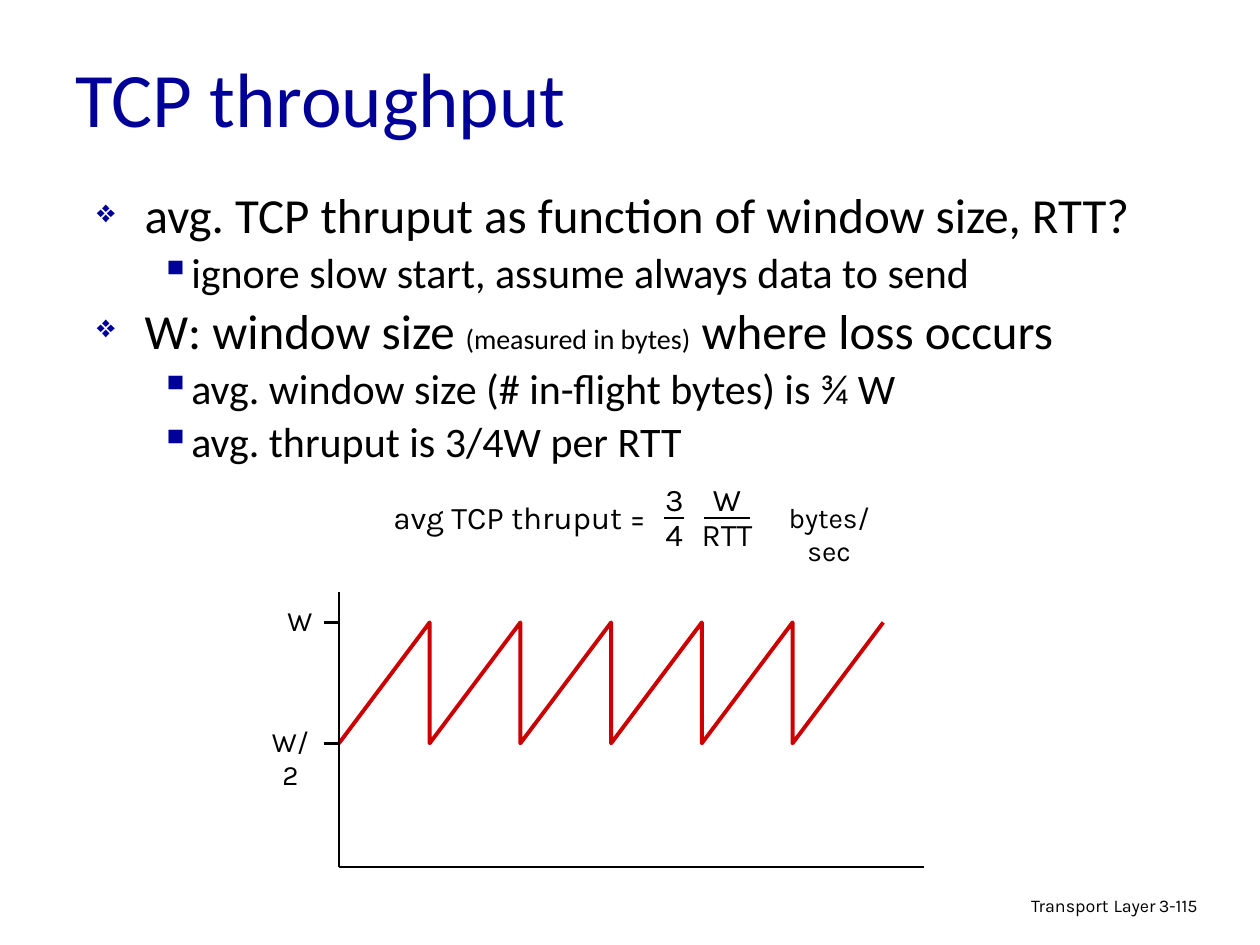
from pptx import Presentation
from pptx.dml.color import RGBColor
from pptx.enum.shapes import MSO_CONNECTOR
from pptx.enum.text import MSO_ANCHOR, PP_ALIGN
from pptx.oxml.ns import qn
from pptx.util import Inches, Pt
from lxml.etree import SubElement

BLACK, NAVY, RED = "000000", "000099", "CC0000"
LEVELS = [
    dict(left=0.38, hang=0.38, mark="❖", scale=65000, size=28, gap=7),
    dict(left=0.75, hang=0.25, mark="▪", scale=100000, size=24, gap=6),
]
POINTS = [
    (0, [("avg. TCP thruput as function of window size, RTT?", 28)]),
    (1, [("ignore slow start, assume always data to send", 24)]),
    (0, [("W: window size ", 28), ("(measured in bytes)", 16), (" where loss occurs", 28)]),
    (1, [("avg. window size (# in-flight bytes) is ¾ W", 24)]),
    (1, [("avg. thruput is 3/4W per RTT", 24)]),
]


def paint(value):
    return RGBColor.from_string(value)


def apply(target, values):
    for name, value in values.items():
        setattr(target, name, value)


def add_runs(para, parts, face, color):
    for text, size in parts:
        run = para.add_run()
        run.text = text
        apply(run.font, dict(name=face, size=Pt(size)))
        run.font.color.rgb = paint(color)


def add_text(slide, box, parts, face="Karla", color=BLACK, wrap=False, form=None, **frame):
    shape = slide.shapes.add_textbox(*map(Inches, box))
    apply(shape.text_frame, dict(word_wrap=wrap, **frame))
    para = shape.text_frame.paragraphs[0]
    apply(para, form or dict(alignment=PP_ALIGN.CENTER))
    add_runs(para, parts, face, color)


def add_line(slide, x1, y1, x2, y2):
    line = slide.shapes.add_connector(MSO_CONNECTOR.STRAIGHT, *map(Inches, (x1, y1, x2, y2)))
    line.line.color.rgb = paint(BLACK)
    line.line.width = Pt(1.5)
    SubElement(line._element.spPr, qn("a:effectLst"))


def add_mark(para, level):
    props = para._p.get_or_add_pPr()
    props.set("marL", str(Inches(level["left"])))
    props.set("indent", str(-Inches(level["hang"])))
    tint = SubElement(props, qn("a:buClr"))
    SubElement(tint, qn("a:srgbClr"), val=NAVY)
    SubElement(props, qn("a:buSzPct"), val=str(level["scale"]))
    SubElement(props, qn("a:buChar"), char=level["mark"])


def add_title(slide, box):
    add_text(slide, box, [("TCP throughput", 44)], "Calibri", NAVY, True,
             dict(alignment=PP_ALIGN.LEFT), vertical_anchor=MSO_ANCHOR.MIDDLE)


def add_points(slide, box):
    frame = slide.shapes.add_textbox(*map(Inches, box)).text_frame
    frame.word_wrap = True
    for index, (depth, parts) in enumerate(POINTS):
        para = frame.add_paragraph() if index else frame.paragraphs[0]
        level = LEVELS[depth]
        add_mark(para, level)
        apply(para, dict(level=depth, line_spacing=0.85,
                         space_before=Pt(level["gap"] if index else 0)))
        add_runs(para, parts, "Calibri", BLACK)


def add_ratio(slide, x, y, half, top, low, width):
    add_text(slide, (x - width / 2, y - 0.35, width, 0.4), [(top, 18)])
    add_text(slide, (x - width / 2, y - 0.07, width, 0.4), [(low, 18)])
    add_line(slide, x - half, y, x + half, y)


def add_formula(slide, box):
    x, y, width, height = box
    add_text(slide, (x, y + 0.14, 2.37, 0.4), [("avg TCP thruput = ", 18)])
    add_ratio(slide, x + 2.38, y + 0.35, 0.08, "3", "4", 0.34)
    add_ratio(slide, x + 2.8, y + 0.35, 0.18, "W", "RTT", 0.63)
    add_text(slide, (x + width - 1.18, y + 0.16, 1.18, 0.37), [("bytes/sec", 16)], wrap=True)


def add_graph(slide, box):
    x, y, width, height = box
    axis, base = x + 0.69, y + height
    high, low, pitch = y + 0.24, y + 1.2, 0.72
    saw = [(axis, low)]
    for step in range(1, 7):
        saw += [(axis + step * pitch, high), (axis + step * pitch, low)]
    saw = [tuple(map(Inches, point)) for point in saw[:-1]]
    build = slide.shapes.build_freeform(*saw[0])
    build.add_line_segments(saw[1:], close=False)
    wave = build.convert_to_shape()
    wave.shadow.inherit = False
    wave.fill.background()
    wave.line.color.rgb = paint(RED)
    wave.line.width = Pt(2.25)
    add_line(slide, axis, base, x + width, base)
    add_line(slide, axis, y, axis, base)
    for text, level, span in (("W", high, 0.4), ("W/2", low, 0.61)):
        add_line(slide, axis - 0.12, level, axis, level)
        add_text(slide, (x + 0.61 - span if span > 0.5 else x + 0.18, level - 0.2, span, 0.37),
                 [(text, 16)], wrap=span > 0.5)


def add_footer(slide, box):
    x, y, width, height = box
    split = width - 0.74
    add_text(slide, (x, y, split + 0.17, height),
             [("Transport", 10.2), (" ", 11.9), ("Layer", 10.2)], wrap=True,
             form=dict(alignment=PP_ALIGN.RIGHT, line_spacing=0.9))
    add_text(slide, (x + split, y + 0.02, 0.74, height), [("3-115", 10.2)], wrap=True,
             form=dict(alignment=PP_ALIGN.LEFT, line_spacing=0.9))


def main():
    deck = Presentation()
    apply(deck, dict(slide_width=Inches(10), slide_height=Inches(7.5)))
    slide = deck.slides.add_slide(deck.slide_layouts[6])
    add_footer(slide, (6.1, 7.05, 3.74, 0.3))
    add_title(slide, (0.5, 0.26, 8.5, 1.02))
    add_points(slide, (0.67, 1.49, 9.04, 5.08))
    add_graph(slide, (2, 4.7, 5.33, 2.18))
    add_formula(slide, (2.97, 3.76, 4.2, 0.68))
    deck.save("out.pptx")


if __name__ == "__main__":
    main()
